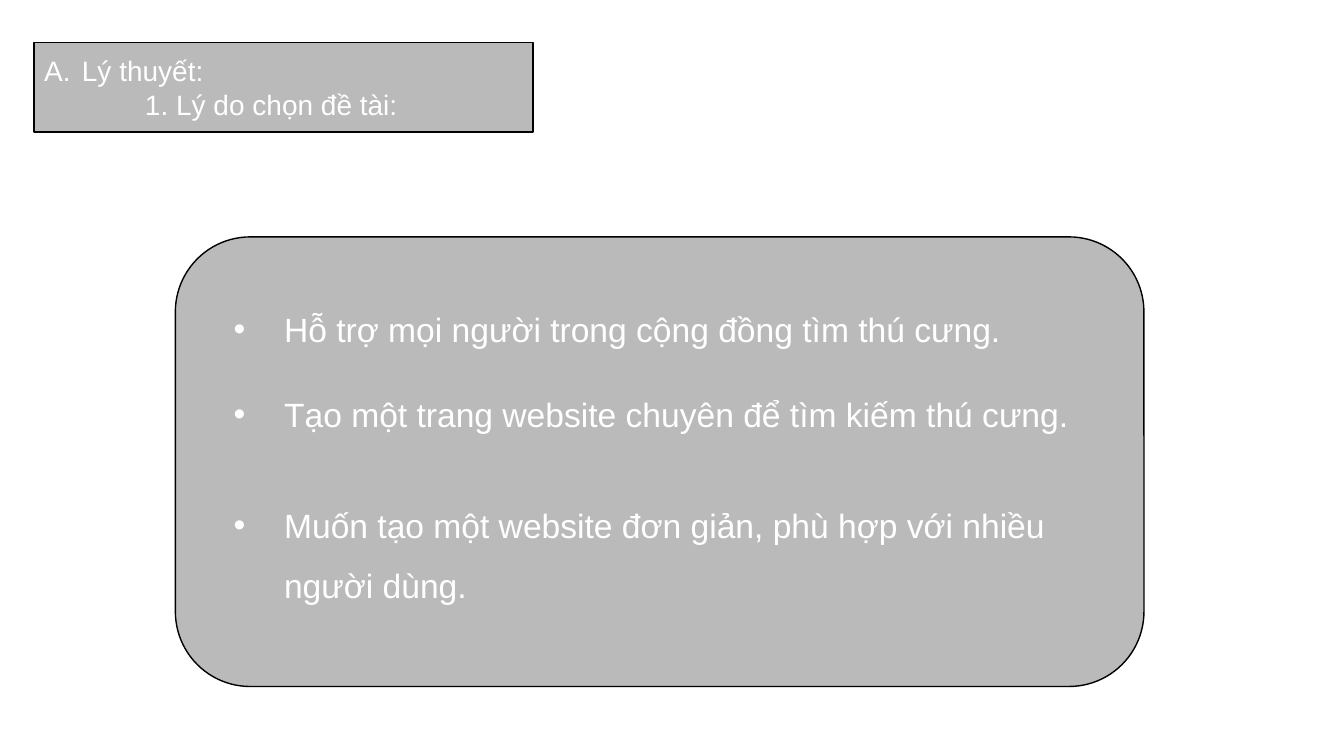
"""Builds the slide that gives the reasons for choosing the topic."""
from lxml import etree
from pptx import Presentation
from pptx import util as u
from pptx.dml.color import RGBColor
from pptx.enum import shapes, text
from pptx.oxml import ns

COLOURS = {"panel": "000000", "outline": "000000", "text": "FFFFFF"}
REASONS = [
    (7.14, 1.98, "Hỗ trợ mọi người trong cộng đồng tìm thú cưng."),
    (9.3, 1.98, "Tạo một trang website chuyên để tìm kiếm thú cưng."),
    (12.09, 3.84, "Muốn tạo một website đơn giản, phù hợp với nhiều người dùng."),
]


def colour(name):
    return RGBColor.from_string(COLOURS[name])


def place(item, left, top, width, height):
    item.left, item.top = u.Cm(left), u.Cm(top)
    item.width, item.height = u.Cm(width), u.Cm(height)


def style_panel(panel):
    panel.fill.solid()
    panel.fill.fore_color.rgb = colour("panel")
    tint = panel.fill._xPr.find(".//" + ns.qn("a:srgbClr"))
    etree.SubElement(tint, ns.qn("a:alpha"), val="27000")
    panel.line.color.rgb = colour("outline")
    panel.line.width = u.Pt(1)


def write(paragraph, words, size, margin=0, hanging=0, bullet=None, spacing=1.0):
    paragraph.text = words
    paragraph.alignment = text.PP_ALIGN.LEFT
    paragraph.line_spacing = spacing
    props = paragraph._p.get_or_add_pPr()
    props.set("marL", str(u.Cm(margin)))
    props.set("indent", str(-u.Cm(hanging)))
    if bullet:
        tag, settings = bullet
        etree.SubElement(props, ns.qn("a:buFont"), typeface="Arial")
        etree.SubElement(props, ns.qn(tag), settings)
    font = paragraph.font
    font.name, font.size = "Arial", u.Pt(size)
    font.color.rgb = colour("text")


def add_heading(slide):
    heading = slide.shapes.title
    place(heading, 0.86, 1.07, 12.57, 2.26)
    outline = etree.SubElement(heading._element.spPr, ns.qn("a:prstGeom"), prst="roundRect")
    etree.SubElement(outline, ns.qn("a:avLst"))
    style_panel(heading)
    frame = heading.text_frame
    frame.auto_size = text.MSO_AUTO_SIZE.NONE
    frame.vertical_anchor = text.MSO_ANCHOR.MIDDLE
    write(frame.paragraphs[0], "Lý thuyết:", 20, margin=0.95, hanging=0.95,
          bullet=("a:buAutoNum", {"type": "alphaUcPeriod"}))
    write(frame.add_paragraph(), "1. Lý do chọn đề tài:", 20, margin=2.54)


def add_reasons_panel(slide):
    panel = slide.shapes.add_shape(shapes.MSO_SHAPE.ROUNDED_RECTANGLE,
                                   u.Cm(4.42), u.Cm(5.97), u.Cm(24.41), u.Cm(11.33))
    panel.shadow.inherit = False
    style_panel(panel)


def add_reason(slide, top, height, words):
    reason = slide.shapes.add_textbox(u.Cm(5.64), u.Cm(top), u.Cm(23.22), u.Cm(height))
    reason.text_frame.word_wrap = True
    write(reason.text_frame.paragraphs[0], words, 24, margin=1.27, hanging=1.27,
          bullet=("a:buChar", {"char": "•"}), spacing=1.5)


def main():
    deck = Presentation()
    deck.slide_width, deck.slide_height = u.Cm(33.87), u.Cm(19.05)
    slide = deck.slides.add_slide(deck.slide_layouts[5])
    add_heading(slide)
    add_reasons_panel(slide)
    for top, height, words in REASONS:
        add_reason(slide, top, height, words)
    deck.save("out.pptx")


if __name__ == "__main__":
    main()
